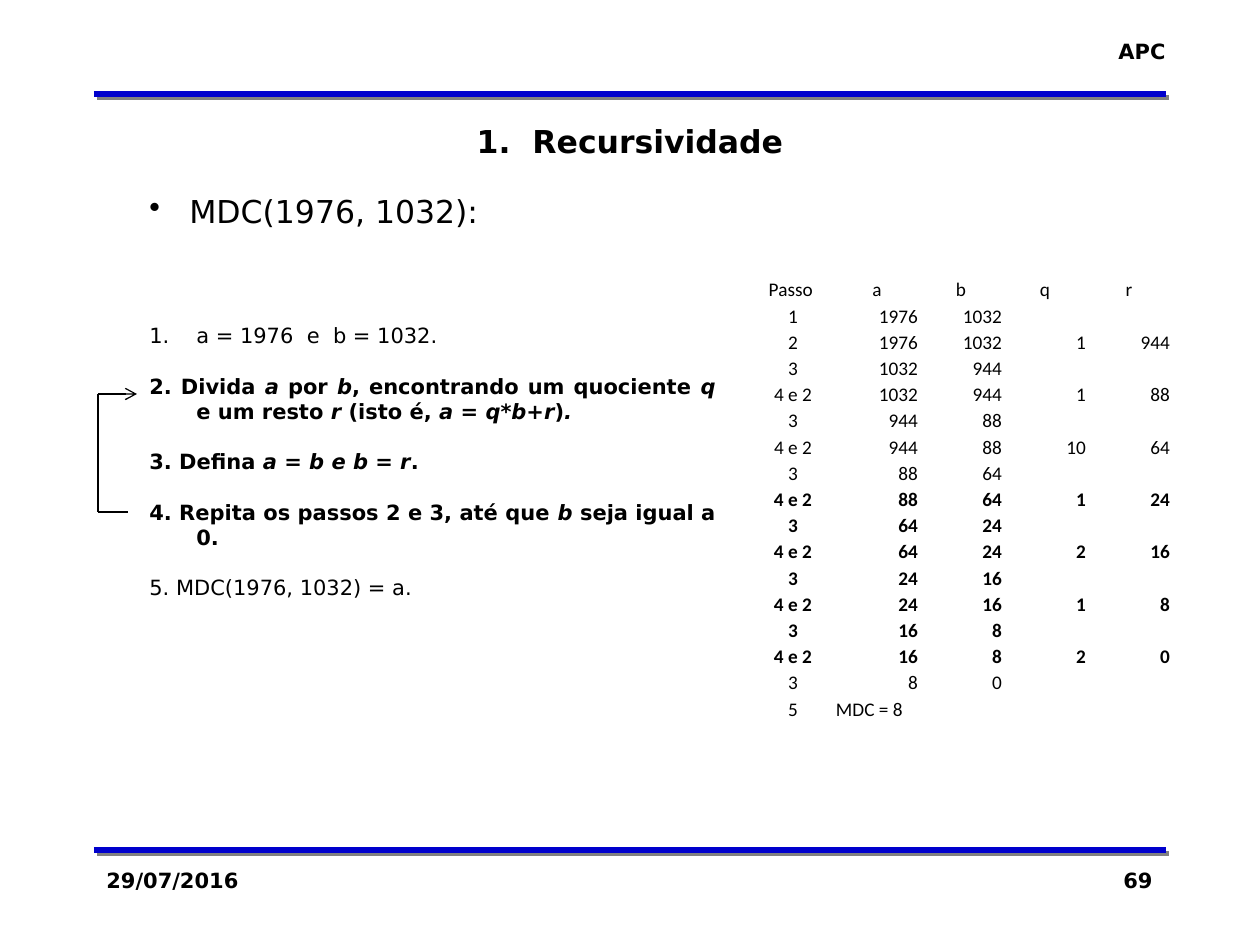
"""Build the slide on recursion that traces MDC(1976, 1032) step by step."""
from lxml.etree import SubElement
from pptx import Presentation
from pptx.dml.color import RGBColor
from pptx.enum.shapes import MSO_CONNECTOR
from pptx.enum.text import MSO_ANCHOR, PP_ALIGN
from pptx.oxml.ns import qn
from pptx.util import Pt

SCALE = 914400 / 126
COLORS = {"text": "000000", "rule": "0000CC", "shadow": "808080"}


def px(*lengths):
    return [round(length * SCALE) for length in lengths]


def style(span, size, bold=False, italic=False, name="DejaVu Sans"):
    span.font.name = name
    span.font.size = Pt(size)
    span.font.bold = bold
    span.font.italic = italic
    span.font.color.rgb = RGBColor.from_string(COLORS["text"])


deck = Presentation()
deck.slide_width, deck.slide_height = px(1260, 945)
page = deck.slides.add_slide(deck.slide_layouts[5])

lines = [
    ("rule", 3, (94, 850, 1166, 850)),
    ("rule", 3, (94, 94, 1166, 94)),
    ("text", 0.75, (128, 512, 98, 512)),
    ("text", 0.75, (98, 512, 98, 394)),
    ("arrow", 0.75, (98, 394, 137, 394)),
]
for kind, width, ends in lines:
    line = page.shapes.add_connector(MSO_CONNECTOR.STRAIGHT, *px(*ends))
    line.line.width = Pt(width)
    line.line.color.rgb = RGBColor.from_string(COLORS.get(kind, COLORS["text"]))
    if kind == "arrow":
        SubElement(line.line._get_or_add_ln(), qn("a:tailEnd"), type="arrow")
    effects = SubElement(line._element.spPr, qn("a:effectLst"))
    if kind == "rule":
        shadow = SubElement(effects, qn("a:outerShdw"), dist=str(Pt(2.8)), dir="2700000",
                            algn="ctr", rotWithShape="0")
        SubElement(shadow, qn("a:srgbClr"), val=COLORS["shadow"])

title = page.shapes.title
title.left, title.top, title.width, title.height = px(94, 116, 1072, 50)
title.text_frame.text = "1.  Recursividade"
title.text_frame.vertical_anchor = MSO_ANCHOR.MIDDLE
title.text_frame.paragraphs[0].alignment = PP_ALIGN.CENTER
style(title.text_frame.paragraphs[0].runs[0], 18, bold=True)

labels = [
    ("APC", (1105, 32, 73, 38), PP_ALIGN.RIGHT, False),
    ("29/07/2016", (94, 861, 262, 63), PP_ALIGN.LEFT, True),
    ("69", (903, 861, 262, 63), PP_ALIGN.RIGHT, True),
]
for text, place, alignment, wrap in labels:
    box = page.shapes.add_textbox(*px(*place))
    box.text_frame.word_wrap = wrap
    box.text_frame.text = text
    para = box.text_frame.paragraphs[0]
    para.alignment = alignment
    style(para.runs[0], 12, bold=True)

steps = [
    ("MDC(1976, 1032):", 18, False, 0, 40),
    ("a = 1976  e  b = 1032.", 12, False, 53, 47),
    ("2. Divida |a| por |b|, encontrando um quociente |q| e um resto |r| (isto é, |a = q*b+r|)|.",
     12, True, 14.4, 47),
    ("3. Defina |a = b e b = r|.", 12, True, 14.4, 47),
    ("4. Repita os passos 2 e 3, até que |b| seja igual a 0.", 12, True, 14.4, 47),
    ("5. MDC(1976, 1032) = a.", 12, False, 14.4, 47),
]
bullets = {0: ("a:buChar", {"char": "•"}), 1: ("a:buAutoNum", {"type": "arabicPeriod"})}
box = page.shapes.add_textbox(*px(137, 186, 591, 462))
box.text_frame.word_wrap = True
for index, (text, size, bold, gap, indent) in enumerate(steps):
    para = box.text_frame.add_paragraph() if index else box.text_frame.paragraphs[0]
    properties = para._p.get_or_add_pPr()
    hang = px(indent)[0]
    properties.set("marL", str(hang))
    properties.set("indent", str(-hang))
    if index in bullets:
        tag, attributes = bullets[index]
        SubElement(properties, qn(tag), attributes)
    para.alignment = PP_ALIGN.JUSTIFY
    if gap:
        para.space_before = Pt(gap)
    for position, part in enumerate(text.split("|")):
        span = para.add_run()
        span.text = part
        style(span, size, bold, italic=position % 2 == 1)

rows = [
    ("Passo ", "a", "b", "q", "r"),
    ("1", "1976", "1032", "", ""),
    ("2", "1976", "1032", "1", "944"),
    ("3", "1032", "944", "", ""),
    ("4 e 2", "1032", "944", "1", "88"),
    ("3", "944", "88", "", ""),
    ("4 e 2", "944", "88", "10", "64"),
    ("3", "88", "64", "", ""),
    ("4 e 2", "88", "64", "1", "24"),
    ("3", "64", "24", "", ""),
    ("4 e 2", "64", "24", "2", "16"),
    ("3", "24", "16", "", ""),
    ("4 e 2", "24", "16", "1", "8"),
    ("3", "16", "8", "", ""),
    ("4 e 2", "16", "8", "2", "0"),
    ("3", "8", "0", "", ""),
    ("5", "MDC = 8", "", "", ""),
    ("", "", "", "", ""),
]
table = page.shapes.add_table(len(rows), 5, *px(751, 276, 420, 472)).table
table.first_row = table.horz_banding = False
for row, values in enumerate(rows):
    for column, value in enumerate(values):
        cell = table.cell(row, column)
        cell.fill.background()
        cell.vertical_anchor = MSO_ANCHOR.BOTTOM
        cell.margin_left, cell.margin_right, cell.margin_top, cell.margin_bottom = px(1, 1, 1, 0)
        cell.text_frame.text = value
        para = cell.text_frame.paragraphs[0]
        para._p.get_or_add_endParaRPr().set("sz", "1100")
        if row == 0 or column == 0:
            para.alignment = PP_ALIGN.CENTER
        else:
            para.alignment = PP_ALIGN.LEFT if value.startswith("MDC") else PP_ALIGN.RIGHT
        for span in para.runs:
            style(span, 11, bold=8 <= row <= 14, name="Calibri")

deck.save("out.pptx")
